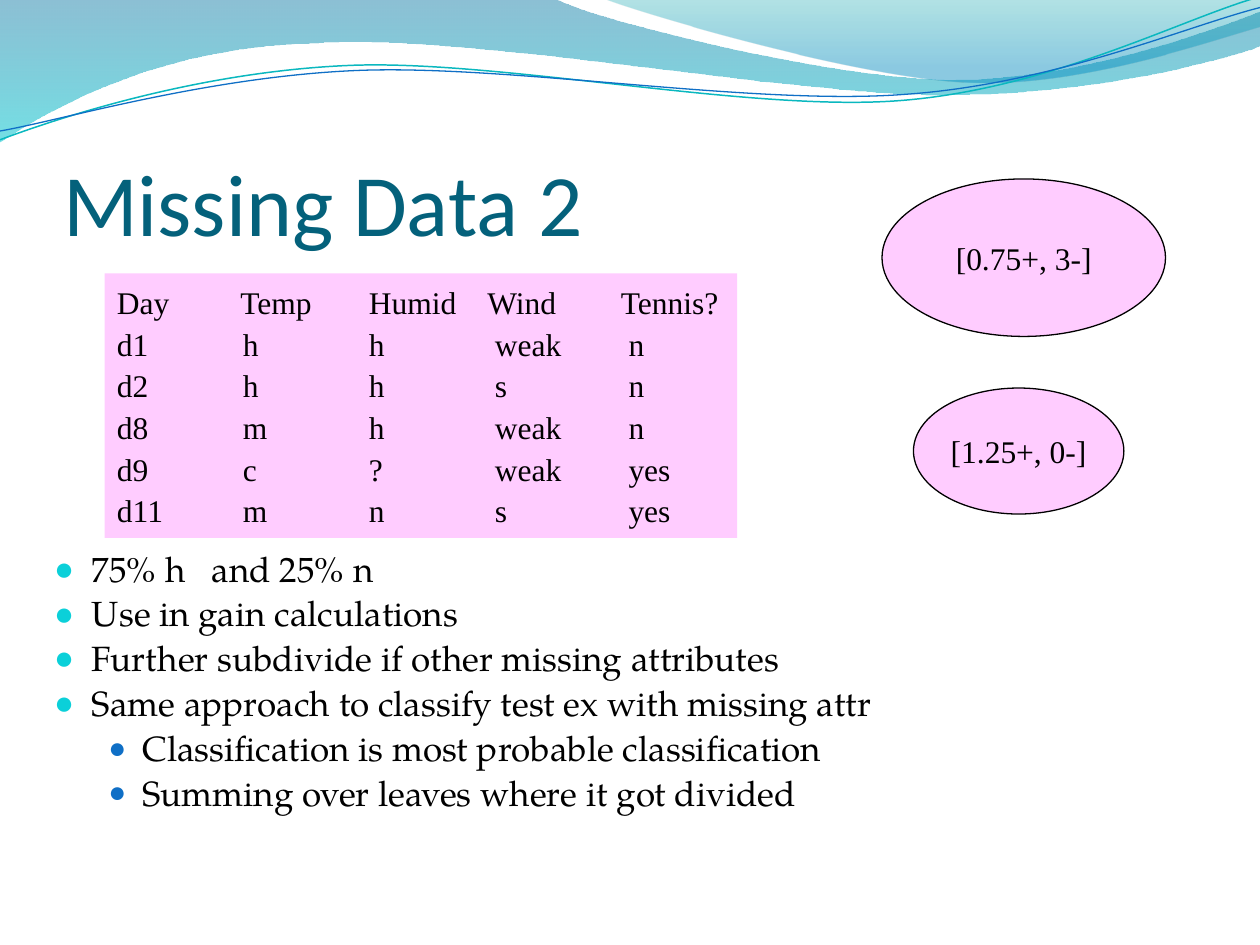
from lxml.etree import SubElement
from pptx import Presentation
from pptx.dml.color import RGBColor
from pptx.enum.shapes import MSO_SHAPE
from pptx.enum.text import MSO_ANCHOR, MSO_AUTO_SIZE, PP_ALIGN
from pptx.oxml.ns import qn
from pptx.util import Inches, Pt

COLORS = {
    "title": "04617B", "text": "000000", "panel": "FFCCFF",
    "bullet": "0BD0D9", "sub_bullet": "0F6FC6",
    "teal_line": "0AB8BF", "blue_line": "0F6FC6",
    "deep_blue": "0074A1", "aqua": "00C6CF", "sea_green": "00A1A9", "sky": "008BBF",
}


def add_curve(start, segments, closed):
    """Draw straight (2 numbers) and Bezier (6 numbers) segments as one outline."""
    anchors = [start] + [segment[-2:] for segment in segments]
    left, top = (min(values) for values in zip(*anchors))
    points = [(Inches(x), Inches(y)) for x, y in anchors]
    builder = slide.shapes.build_freeform(*points[0], scale=1.0)
    builder.add_line_segments(points[1:], close=closed)
    shape = builder.convert_to_shape()
    shape.shadow.inherit = False
    # Turn the straight steps of Bezier segments into real curves
    steps = list(shape.element.iter(qn("a:lnTo")))
    for step, segment in zip(steps, segments):
        if len(segment) == 6:
            for child in list(step):
                step.remove(child)
            curve = SubElement(step.getparent(), qn("a:cubicBezTo"))
            step.getparent().replace(step, curve)
            for x, y in zip(segment[::2], segment[1::2]):
                SubElement(curve, qn("a:pt"), x=str(Inches(x - left)), y=str(Inches(y - top)))
    return shape


def format_text(paragraph, font_name, size, color):
    for run in paragraph.runs:
        run.font.name = font_name
        run.font.size = Pt(size)
        run.font.color.rgb = RGBColor.from_string(COLORS[color])


presentation = Presentation()
presentation.slide_width = Inches(10)
presentation.slide_height = Inches(7.5)
slide = presentation.slides.add_slide(presentation.slide_layouts[1])

# Filled waves: start, segments, gradient stops (position, color, opacity %)
waves = [
    ((0, 0), [(4.4, -0.01), (4.76, 0.17, 6.64, 0.63, 7.58, 0.63),
              (8.53, 0.63, 9.58, 0.26, 10, 0.09), (10.01, 0.36),
              (9.83, 0.44, 8.7, 0.76, 7.46, 0.75),
              (6.22, 0.75, 3.82, 0.28, 2.57, 0.34),
              (1.29, 0.36, 0.46, 0.83, -0.01, 1.13)],
     [(0, "deep_blue", 45), (1, "aqua", 55)]),
    ((4.79, -0.01), [(5.09, 0.11, 6.82, 0.62, 7.69, 0.65),
                     (8.56, 0.69, 9.61, 0.32, 10, 0.21), (10, 0)],
     [(0, "sea_green", 30), (0.8, "sky", 45)]),
]
for start, segments, stops in waves:
    wave = add_curve(start, segments, closed=True)
    wave.line.fill.background()
    wave.fill.gradient()
    wave.fill.gradient_angle = 270
    for stop, (position, color, _) in zip(wave.fill.gradient_stops, stops):
        stop.position = position
        stop.color.rgb = RGBColor.from_string(COLORS[color])
    for element, (_, _, opacity) in zip(wave.element.iter(qn("a:gs")), stops):
        SubElement(element[0], qn("a:alpha"), val=str(opacity * 1000))

# Thin wave lines
wave_lines = [
    ((0, 1.11), [(0.48, 0.93, 1.58, 0.57, 2.77, 0.52),
                 (3.95, 0.47, 5.93, 0.89, 7.13, 0.8),
                 (8.33, 0.71, 9.38, 0.15, 9.98, -0.02)], "teal_line", 0.85),
    ((0, 1.04), [(0.47, 0.96, 1.64, 0.61, 2.83, 0.56),
                 (4.03, 0.51, 5.97, 0.84, 7.17, 0.75),
                 (8.36, 0.67, 9.41, 0.21, 10, 0.06)], "blue_line", 0.75),
]
for start, segments, color, width in wave_lines:
    wave_line = add_curve(start, segments, closed=False)
    wave_line.fill.background()
    wave_line.line.color.rgb = RGBColor.from_string(COLORS[color])
    wave_line.line.width = Pt(width)

# Title
title = slide.shapes.title
title.left, title.top, title.width, title.height = map(Inches, (0.5, 0.77, 9, 1.25))
frame = title.text_frame
frame.text = "Missing Data 2"
frame.auto_size = MSO_AUTO_SIZE.NONE
frame.vertical_anchor = MSO_ANCHOR.BOTTOM
frame.margin_left = frame.margin_right = frame.margin_bottom = 0
frame.margin_top = Inches(0.05)
frame.paragraphs[0].alignment = PP_ALIGN.LEFT
format_text(frame.paragraphs[0], "Calibri", 50, "title")

# Bullet list
bullets = [
    (0, "75% h   and 25% n"),
    (0, "Use in gain calculations"),
    (0, "Further subdivide if other missing attributes"),
    (0, "Same approach to classify test ex with missing attr"),
    (1, "Classification is most probable classification"),
    (1, "Summing over leaves where it got divided"),
]
# Per level: left margin, hanging indent, bullet color, bullet size %
levels = [(0.3, 0.3, "bullet", 95), (0.7, 0.27, "sub_bullet", 85)]
body = slide.placeholders[1]
body.left, body.top, body.width, body.height = map(Inches, (0.33, 4.33, 10, 2.25))
frame = body.text_frame
frame.text = "\n".join(text for _, text in bullets)
frame.auto_size = MSO_AUTO_SIZE.NONE
for paragraph, (level, _) in zip(frame.paragraphs, bullets):
    margin, hanging, color, size = levels[level]
    paragraph.level = level
    paragraph.line_spacing = 0.9
    paragraph.space_before = Pt(4)
    format_text(paragraph, "TeX Gyre Pagella", 20, "text")
    properties = paragraph._p.get_or_add_pPr()
    properties.set("marL", str(Inches(margin)))
    properties.set("indent", str(-Inches(hanging)))
    bullet_color = SubElement(properties, qn("a:buClr"))
    SubElement(bullet_color, qn("a:srgbClr"), val=COLORS[color])
    SubElement(properties, qn("a:buSzPct"), val=str(size * 1000))
    SubElement(properties, qn("a:buChar"), char="●")

# Training examples, lined up with tab stops
examples = [
    "Day\tTemp\tHumid\tWind\tTennis?",
    "d1\th\th\tweak\tn",
    "d2\th\th\ts\tn",
    "d8\tm\th\tweak\tn",
    "d9\tc\t?\tweak\tyes",
    "d11\tm\tn\ts\tyes",
]
heading_stops = (0.98, 2, 2.94, 4)
example_stops = (1, 2, 3, 4.06)
panel = slide.shapes.add_shape(
    MSO_SHAPE.RECTANGLE, Inches(0.83), Inches(2.17), Inches(5.02), Inches(2.1))
panel.line.fill.background()
frame = panel.text_frame
frame.text = "\n".join(examples)
frame.word_wrap = False
frame.auto_size = MSO_AUTO_SIZE.SHAPE_TO_FIT_TEXT
frame.vertical_anchor = MSO_ANCHOR.TOP
for index, paragraph in enumerate(frame.paragraphs):
    paragraph.alignment = PP_ALIGN.LEFT
    paragraph.line_spacing = 1.1
    format_text(paragraph, "Times New Roman", 18, "text")
    tab_list = SubElement(paragraph._p.get_or_add_pPr(), qn("a:tabLst"))
    for position in example_stops if index else heading_stops:
        SubElement(tab_list, qn("a:tab"), pos=str(Inches(position)), algn="l")

# Fractional class counts
counts = [
    ("[0.75+, 3-]", (7, 1.42, 2.25, 1.25)),
    ("[1.25+, 0-]", (7.25, 3.08, 1.67, 1)),
]
ellipses = []
for text, box in counts:
    ellipse = slide.shapes.add_shape(MSO_SHAPE.OVAL, *map(Inches, box))
    ellipse.line.color.rgb = RGBColor.from_string(COLORS["text"])
    ellipse.line.width = Pt(0.75)
    frame = ellipse.text_frame
    frame.text = text
    frame.word_wrap = False
    frame.vertical_anchor = MSO_ANCHOR.MIDDLE
    frame.paragraphs[0].alignment = PP_ALIGN.CENTER
    format_text(frame.paragraphs[0], "Times New Roman", 18, "text")
    ellipses.append(ellipse)

# Shared pink fill
for shape in [panel, *ellipses]:
    shape.shadow.inherit = False
    shape.fill.solid()
    shape.fill.fore_color.rgb = RGBColor.from_string(COLORS["panel"])

presentation.save("out.pptx")
